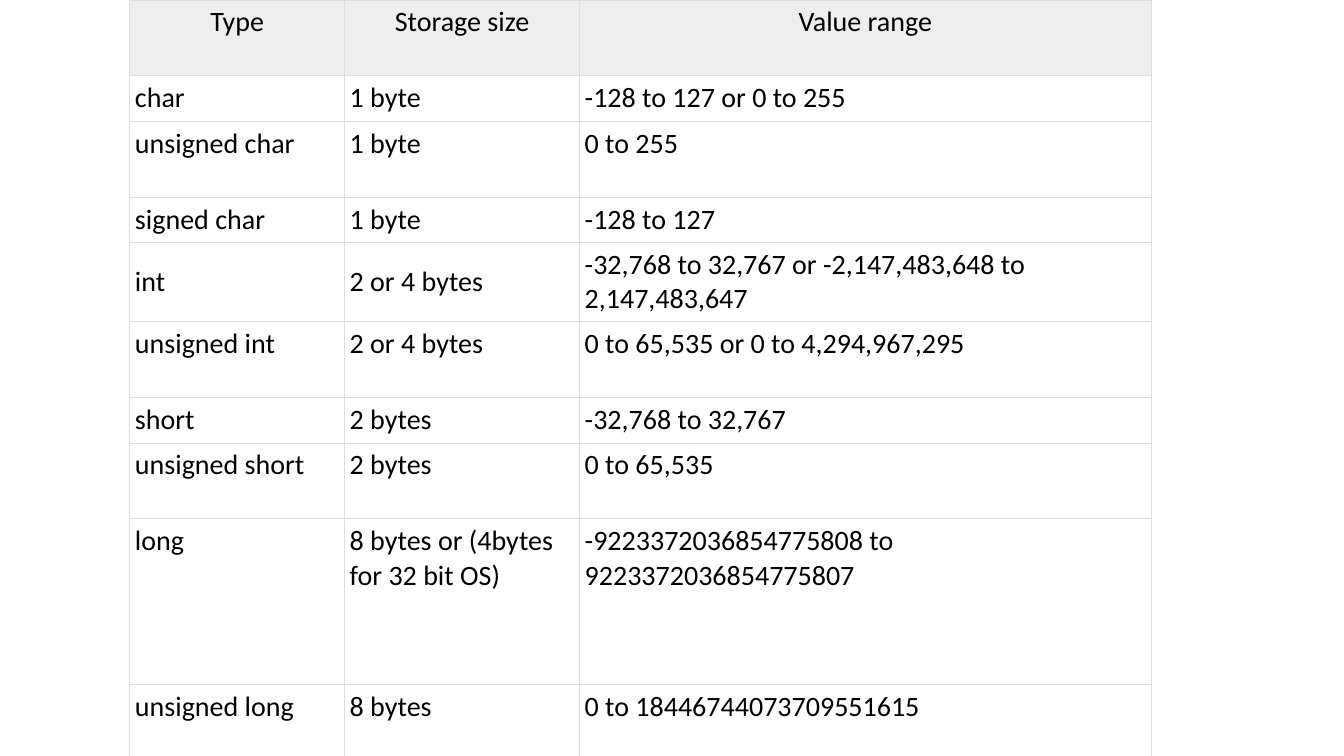
from lxml import etree
from pptx import Presentation
from pptx.dml.color import RGBColor
from pptx.enum import text
from pptx.oxml import ns
from pptx.util import Cm, Inches, Pt

# Content: type, storage size, value range
HEADINGS = ("Type", "Storage size", "Value range")
INTEGER_TYPES = [
    ("char", "1 byte", "-128 to 127 or 0 to 255"),
    ("unsigned char", "1 byte", "0 to 255"),
    ("signed char", "1 byte", "-128 to 127"),
    ("int", "2 or 4 bytes", "-32,768 to 32,767 or -2,147,483,648 to 2,147,483,647"),
    ("unsigned int", "2 or 4 bytes", "0 to 65,535 or 0 to 4,294,967,295"),
    ("short", "2 bytes", "-32,768 to 32,767"),
    ("unsigned short", "2 bytes", "0 to 65,535"),
    ("long", "8 bytes or (4bytes for 32 bit OS)",
     "-9223372036854775808 to 9223372036854775807"),
    ("unsigned long", "8 bytes", "0 to 18446744073709551615"),
]

# Style and measures
BLACK = RGBColor(0x00, 0x00, 0x00)
HEADING_GREY = RGBColor(0xEE, 0xEE, 0xEE)
BORDER_GREY = RGBColor(0xDD, 0xDD, 0xDD)
LEFT = Cm(3.27)
MARGIN = Cm(0.13)
COLUMN_WIDTHS = [Cm(5.41), Cm(5.92), Cm(14.4)]
TALL = Cm(1.91)
ROW_HEIGHTS = {"char": Cm(1.15), "signed char": Cm(1.15), "short": Cm(1.15),
               "long": Cm(4.17)}


def add_borders(cell):
    properties = cell._tc.get_or_add_tcPr()
    for side in ("a:lnL", "a:lnR", "a:lnT", "a:lnB"):
        border = etree.SubElement(properties, ns.qn(side), w=str(Pt(0.75)))
        solid = etree.SubElement(border, ns.qn("a:solidFill"))
        etree.SubElement(solid, ns.qn("a:srgbClr"), val=str(BORDER_GREY))


def format_cell(cell, wording, is_heading):
    cell.text = wording
    cell.margin_left = cell.margin_right = MARGIN
    cell.margin_top = cell.margin_bottom = MARGIN
    add_borders(cell)
    paragraph = cell.text_frame.paragraphs[0]
    paragraph.font.name = "Calibri"
    paragraph.font.size = Pt(20)
    paragraph.font.color.rgb = BLACK
    if is_heading:
        paragraph.alignment = text.PP_ALIGN.CENTER
        cell.fill.solid()
        cell.fill.fore_color.rgb = HEADING_GREY
    else:
        cell.fill.background()


# Slide
deck = Presentation()
deck.slide_width, deck.slide_height = Inches(13.33), Inches(7.5)
slide = deck.slides.add_slide(deck.slide_layouts[6])

# Table of integer types
rows = [HEADINGS, *INTEGER_TYPES]
heights = [ROW_HEIGHTS.get(row[0], TALL) for row in rows]
type_table = slide.shapes.add_table(
    len(rows), len(HEADINGS), LEFT, 0, sum(COLUMN_WIDTHS), sum(heights)).table
type_table.first_row = type_table.horz_banding = False
for column, width in zip(type_table.columns, COLUMN_WIDTHS):
    column.width = width
for r, (row, height) in enumerate(zip(rows, heights)):
    type_table.rows[r].height = height
    for c, wording in enumerate(row):
        cell = type_table.cell(r, c)
        format_cell(cell, wording, is_heading=r == 0)
        # The int row centres its short cells beside the two-line range
        if row[0] == "int" and c < 2:
            cell.vertical_anchor = text.MSO_ANCHOR.MIDDLE

deck.save("out.pptx")
